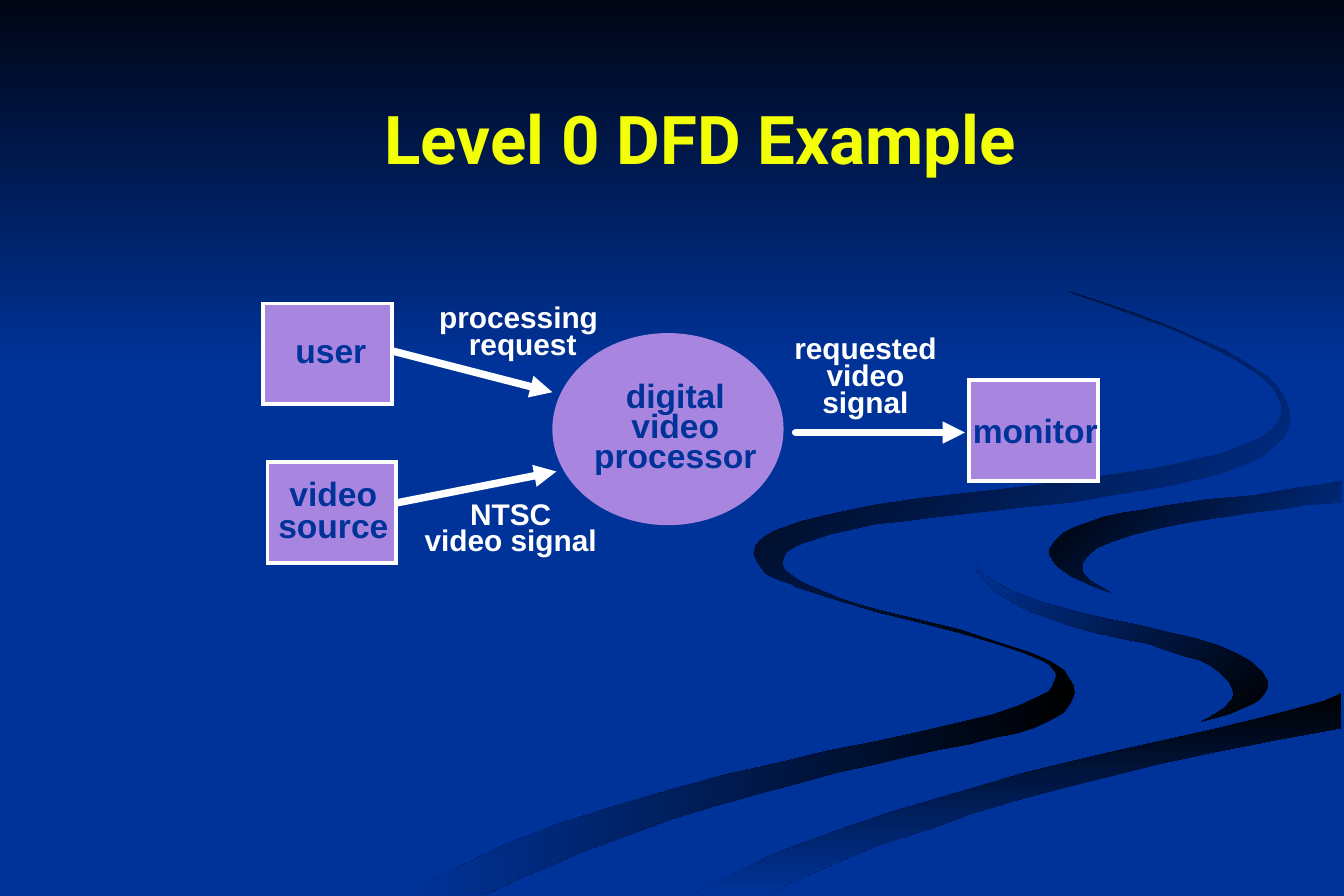
from dataclasses import dataclass

from lxml import etree
from pptx import Presentation
from pptx.dml.color import RGBColor
from pptx.enum.shapes import MSO_CONNECTOR, MSO_SHAPE
from pptx.enum.text import MSO_ANCHOR, PP_ALIGN
from pptx.oxml.ns import qn
from pptx.util import Emu, Inches, Pt

RECTANGLE, ELLIPSE = MSO_SHAPE.RECTANGLE, MSO_SHAPE.OVAL
STRAIGHT = MSO_CONNECTOR.STRAIGHT
LEFT, CENTER = PP_ALIGN.LEFT, PP_ALIGN.CENTER
MIDDLE = MSO_ANCHOR.MIDDLE

# The grid has 1000 columns and 667 rows of 0.01 inch
COLUMNS, ROWS = 1000, 667
CELL = Inches(0.01)


@dataclass(frozen=True)
class Theme:
    blue: str = "003399"
    night: str = "000514"
    black: str = "000000"
    yellow: str = "F3FF07"
    violet: str = "A886E0"
    white: str = "FFFFFF"
    title_font: str = "Roboto"
    body_font: str = "Arial"
    title_size: int = 36
    node_size: int = 18
    flow_size: int = 16
    arrow_width: int = 4
    border_width: int = 2


class DiagramSlide:
    def __init__(self, slide, theme):
        self.slide, self.theme = slide, theme
        background = slide.background.fill
        background.solid()
        background.fore_color.rgb = RGBColor.from_string(theme.blue)

    def lengths(self, *cells):
        return [Emu(round(cell * CELL)) for cell in cells]

    def style_text(self, frame, text, font, size, color, align, spacing=None):
        frame.text = text
        for paragraph in frame.paragraphs:
            paragraph.alignment = align
            if spacing:
                paragraph.line_spacing = spacing
            for run in paragraph.runs:
                run.font.name, run.font.size, run.font.bold = font, Pt(size), True
                run.font.color.rgb = RGBColor.from_string(color)

    def title(self, text, box):
        """Fill the title and bring it in front of what is drawn so far."""
        title = self.slide.shapes.title
        title.element.getparent().append(title.element)
        title.left, title.top, title.width, title.height = self.lengths(*box)
        title.text_frame.vertical_anchor = MIDDLE
        self.style_text(title.text_frame, text, self.theme.title_font,
                        self.theme.title_size, self.theme.yellow, CENTER)

    def ribbon(self, points, colors, angle):
        builder = self.slide.shapes.build_freeform(*points[0], scale=CELL)
        builder.add_line_segments(points[1:], close=True)
        shape = builder.convert_to_shape()
        shape.shadow.inherit = False
        shape.line.fill.background()
        shape.fill.gradient()
        shape.fill.gradient_angle = angle
        for stop, color, position in zip(shape.fill.gradient_stops, colors, (0, 1)):
            stop.color.rgb = RGBColor.from_string(color)
            stop.position = position

    def node(self, kind, box, bordered=True):
        shape = self.slide.shapes.add_shape(kind, *self.lengths(*box))
        shape.shadow.inherit = False
        shape.fill.solid()
        shape.fill.fore_color.rgb = RGBColor.from_string(self.theme.violet)
        if bordered:
            shape.line.color.rgb = RGBColor.from_string(self.theme.white)
            shape.line.width = Pt(self.theme.border_width)
            line = shape.element.spPr.find(qn("a:ln"))
            etree.SubElement(line, qn("a:miter"), lim="800000")
        else:
            shape.line.fill.background()

    def arrow(self, *ends):
        arrow = self.slide.shapes.add_connector(STRAIGHT, *self.lengths(*ends))
        arrow.line.color.rgb = RGBColor.from_string(self.theme.white)
        arrow.line.width = Pt(self.theme.arrow_width)
        properties = arrow.element.spPr
        line = properties.find(qn("a:ln"))
        line.set("cap", "rnd")
        etree.SubElement(line, qn("a:tailEnd"), type="triangle")
        etree.SubElement(properties, qn("a:effectLst"))

    def label(self, text, box, size, color, align=CENTER, spacing=None):
        frame = self.slide.shapes.add_textbox(*self.lengths(*box)).text_frame
        frame.word_wrap = False
        self.style_text(frame, text, self.theme.body_font, size, color, align, spacing)


# Ribbon outlines, as (column, row)
LEFT_RIBBON = [
    (781, 492), (767, 486), (745, 479), (715, 469), (682, 461), (661, 456), (642, 451),
    (626, 446), (614, 441), (602, 436), (594, 432), (587, 427), (583, 424), (579, 421),
    (576, 417), (574, 412), (575, 408), (570, 416), (570, 420), (572, 423), (576, 427),
    (581, 430), (593, 437), (611, 443), (631, 449), (654, 456), (679, 462), (714, 471),
    (741, 479), (762, 486), (776, 492), (781, 495), (785, 500), (786, 503), (783, 511),
    (780, 515), (774, 518), (759, 525), (739, 532), (714, 538), (684, 545), (652, 552),
    (616, 559), (579, 568), (539, 577), (499, 588), (458, 600), (417, 613), (376, 629),
    (338, 647), (300, 666), (361, 666), (396, 650), (431, 635), (466, 622), (499, 610),
    (532, 600), (564, 591), (594, 583), (623, 575), (651, 569), (676, 563), (699, 558),
    (721, 554), (740, 549), (756, 546), (769, 542), (780, 537), (791, 531), (795, 526),
    (797, 523), (800, 516), (799, 510), (795, 504), (792, 499), (786, 495)]
MIDDLE_RIBBON = [
    (943, 507), (939, 500), (930, 492), (919, 486), (905, 480), (888, 475), (870, 471),
    (850, 466), (830, 462), (811, 458), (792, 453), (774, 448), (758, 442), (745, 436),
    (733, 429), (727, 421), (724, 412), (725, 421), (730, 430), (739, 439), (746, 444),
    (755, 449), (766, 455), (781, 460), (797, 466), (815, 471), (838, 476), (854, 479),
    (868, 484), (880, 488), (892, 491), (900, 495), (907, 500), (911, 504), (915, 508),
    (918, 516), (917, 520), (911, 527), (900, 534), (894, 537), (906, 534), (916, 531),
    (925, 527), (932, 524), (937, 521), (941, 516), (943, 512)]
LOWER_RIBBON = [
    (519, 664), (503, 666), (571, 666), (579, 663), (587, 657), (600, 652), (614, 646),
    (630, 639), (649, 631), (670, 624), (695, 616), (722, 606), (752, 597), (785, 588),
    (821, 579), (861, 569), (903, 560), (949, 551), (998, 542), (998, 516), (985, 522),
    (963, 528), (936, 535), (903, 543), (867, 551), (831, 559), (797, 567), (764, 575),
    (696, 595), (662, 605), (630, 616), (599, 627), (569, 639), (543, 652)]
RIGHT_RIBBON = [
    (781, 409), (781, 413), (786, 421), (797, 429), (815, 437), (826, 441), (812, 433),
    (806, 427), (805, 420), (809, 414), (816, 408), (828, 403), (843, 398), (859, 394),
    (878, 390), (896, 387), (936, 381), (954, 379), (971, 376), (986, 375), (998, 374),
    (998, 358), (983, 361), (967, 363), (933, 369), (898, 372), (865, 377), (849, 380),
    (835, 382), (821, 385), (810, 389), (799, 393), (791, 397), (785, 403)]
UPPER_RIBBON = [
    (695, 385), (731, 381), (765, 377), (797, 374), (825, 369), (850, 365), (873, 361),
    (894, 356), (910, 352), (926, 346), (938, 341), (946, 334), (954, 327), (958, 321),
    (960, 312), (959, 304), (955, 295), (950, 288), (943, 280), (933, 274), (922, 267),
    (910, 260), (895, 254), (868, 242), (841, 232), (817, 224), (801, 219), (795, 217),
    (821, 226), (848, 236), (875, 246), (899, 257), (920, 268), (938, 280), (944, 285),
    (949, 291), (952, 298), (954, 304), (953, 310), (950, 316), (945, 321), (938, 326),
    (929, 330), (919, 334), (908, 338), (894, 341), (864, 348), (830, 353), (795, 358),
    (758, 363), (721, 367), (685, 371), (651, 376), (622, 382), (597, 388), (577, 395),
    (570, 399), (565, 403), (562, 407), (561, 412), (563, 417), (566, 422), (570, 427),
    (578, 431), (595, 437), (618, 444), (607, 440), (599, 436), (591, 432), (586, 427),
    (583, 423), (582, 419), (583, 415), (585, 411), (591, 407), (598, 404), (608, 401),
    (620, 397), (634, 394), (652, 390), (672, 388)]


def main():
    theme = Theme()
    presentation = Presentation()
    presentation.slide_width = COLUMNS * CELL
    presentation.slide_height = ROWS * CELL
    slide = presentation.slides.add_slide(presentation.slide_layouts[5])
    diagram = DiagramSlide(slide, theme)

    # Backdrop: night sky and winding ribbons
    sky = [(0, 0), (COLUMNS, 0), (COLUMNS, 274), (0, 274)]
    fading = (theme.black, theme.blue)
    diagram.ribbon(sky, (theme.night, theme.blue), 270)
    diagram.ribbon(LEFT_RIBBON, fading, 180)
    diagram.ribbon(MIDDLE_RIBBON, fading, 135)
    diagram.ribbon(LOWER_RIBBON, fading, 270)
    for points in (RIGHT_RIBBON, UPPER_RIBBON):
        diagram.ribbon(points, fading[::-1], 135)

    diagram.title("Level 0 DFD Example", (167, 40, 708, 125))

    # Process, data flows and external entities
    diagram.node(ELLIPSE, (411, 248, 172, 143), bordered=False)
    for ends in ((283, 259, 411, 292), (282, 377, 414, 351), (592, 322, 718, 322)):
        diagram.arrow(*ends)
    for left, top in ((196, 226), (199, 344), (721, 283)):
        diagram.node(RECTANGLE, (left, top, 96, 75))

    # Names of the entities and the process
    for text, box, align, spacing in (
            ("user", (210, 241, 73, 40), LEFT, None),
            ("video\nsource", (197, 353, 102, 58), CENTER, 0.8),
            ("digital\nvideo\nprocessor", (432, 281, 141, 77), CENTER, 0.75),
            ("monitor", (714, 300, 113, 40), LEFT, None)):
        diagram.label(text, box, theme.node_size, theme.blue, align, spacing)

    # Names of the data flows
    for text, box in (
            ("processing \nrequest", (316, 224, 146, 50)),
            ("NTSC\nvideo signal", (306, 370, 148, 50)),
            ("requested\nvideo\nsignal", (581, 247, 126, 70))):
        diagram.label(text, box, theme.flow_size, theme.white, spacing=0.75)

    presentation.save("out.pptx")


if __name__ == "__main__":
    main()
